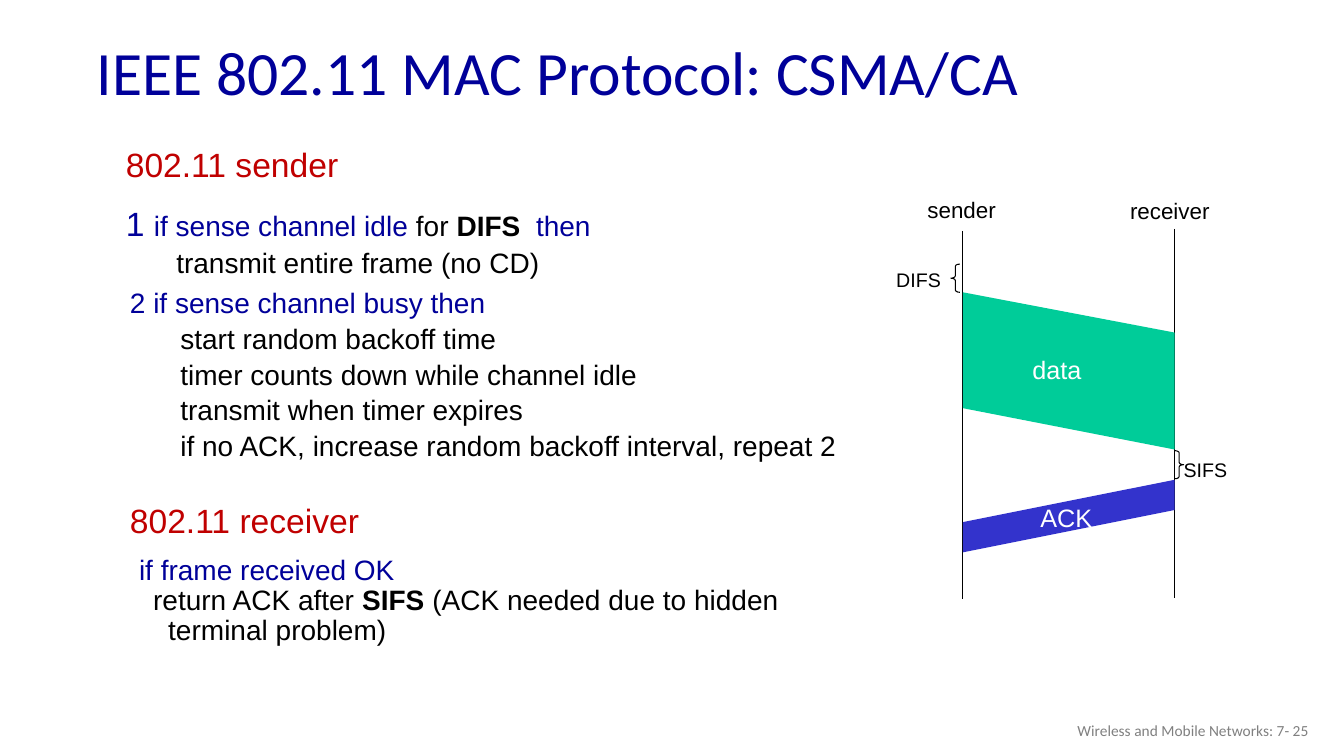
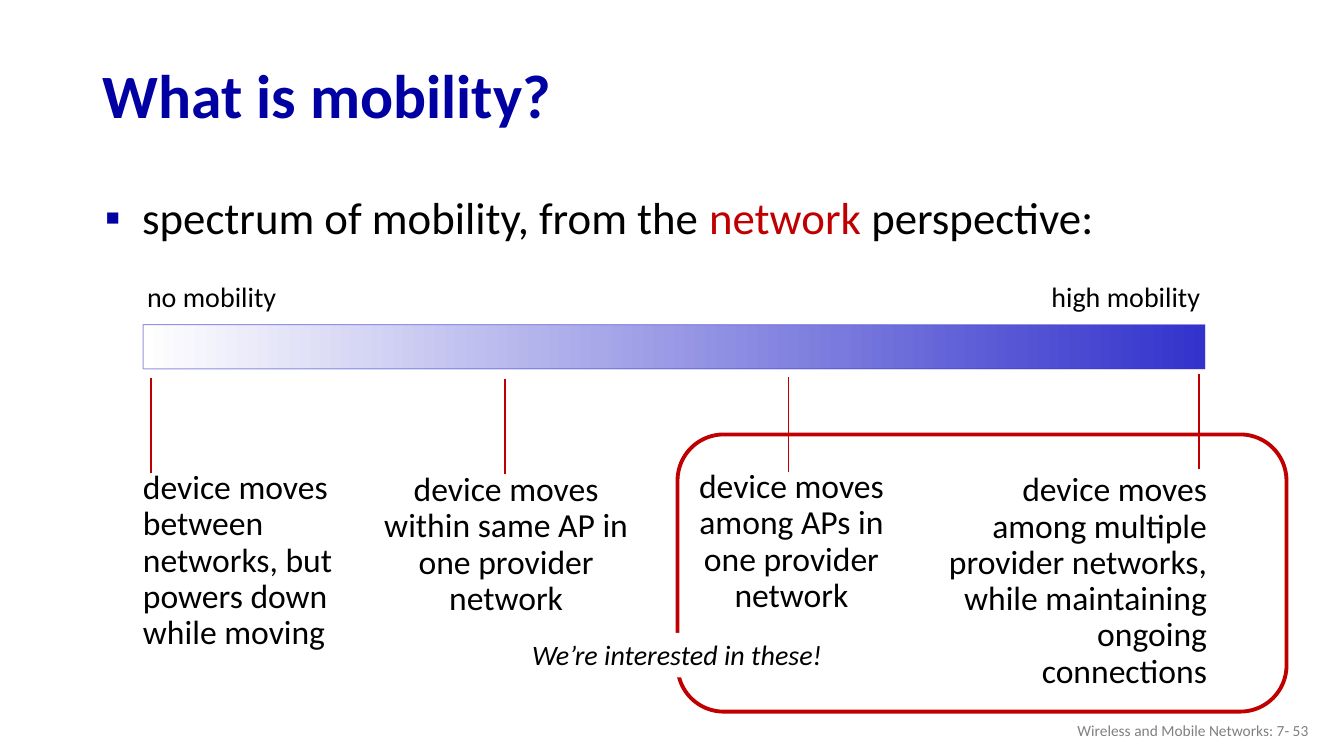
from lxml.etree import SubElement
from pptx import Presentation
from pptx.dml.color import RGBColor
from pptx.enum.shapes import MSO_CONNECTOR as Conn, MSO_SHAPE as Shape
from pptx.enum.text import MSO_ANCHOR as Anchor, MSO_AUTO_SIZE as AutoSize, PP_ALIGN as Align
from pptx.oxml.ns import qn
from pptx.util import Inches, Pt

COLORS = {
    "title": "000099", "navy": "0000A3", "red": "C00000", "black": "000000",
    "white": "FFFFFF", "gray": "808080", "data": "00CC99", "ack": "3333CC",
}


def rgb(name):
    return RGBColor.from_string(COLORS[name])


class Deck:
    def __init__(self, width, height):
        self.prs = Presentation()
        self.prs.slide_width, self.prs.slide_height = Inches(width), Inches(height)
        self.s = None

    def slide(self, layout, title, left, top, number, **fmt):
        self.s = self.prs.slides.add_slide(self.prs.slide_layouts[layout])
        self.place(self.s.shapes.title, left, top, 11.5, 0.98)
        self.set_text(self.s.shapes.title.text_frame, [([title], {"line_spacing": 0.9})],
                      anchor=Anchor.MIDDLE, size=44, name="Calibri", **fmt)
        self.text(10.08, 7.05, 3, 0.4, [f"Wireless and Mobile Networks: 7- {number}"],
                  anchor=Anchor.MIDDLE, align=Align.RIGHT, size=11, name="Calibri", color="gray")

    def place(self, sp, x, y, w, h):
        sp.left, sp.top, sp.width, sp.height = map(Inches, (x, y, w, h))

    def set_text(self, tf, paragraphs, anchor=Anchor.TOP, wrap=True, align=Align.LEFT, **base):
        for key, value in {"word_wrap": wrap, "auto_size": AutoSize.NONE,
                           "vertical_anchor": anchor}.items():
            setattr(tf, key, value)
        for i, item in enumerate(paragraphs):
            runs, layout = item if isinstance(item, tuple) else ([item], {})
            p = tf.add_paragraph() if i else tf.paragraphs[0]
            self.layout(p, {"alignment": align, **layout})
            for run in runs:
                text, fmt = run if isinstance(run, tuple) else (run, {})
                r = p.add_run()
                r.text = text
                self.font(r.font, {**base, **fmt})

    def layout(self, p, fmt):
        pPr = p._p.get_or_add_pPr()
        for key, value in fmt.items():
            if key in ("marL", "indent"):
                pPr.set(key, str(Inches(value)))
            elif key.startswith("space"):
                setattr(p, key, Pt(value))
            elif key != "bullet":
                setattr(p, key, value)
        if "bullet" in fmt:
            SubElement(SubElement(pPr, qn("a:buClr")), qn("a:srgbClr")).set("val", COLORS["navy"])
            SubElement(pPr, qn("a:buFont")).set("typeface", "Arial")
            SubElement(pPr, qn("a:buChar")).set("char", fmt["bullet"])

    def font(self, font, fmt):
        for key, value in fmt.items():
            if key == "color":
                font.color.rgb = rgb(value)
            else:
                setattr(font, key, Pt(value) if key == "size" else value)

    def text(self, x, y, w, h, paragraphs, fill=None, **fmt):
        sp = self.s.shapes.add_textbox(*map(Inches, (x, y, w, h)))
        if fill:
            sp.fill.solid()
            sp.fill.fore_color.rgb = rgb(fill)
        self.set_text(sp.text_frame, paragraphs, **fmt)

    def label(self, x, y, w, h, text, **fmt):
        self.text(x, y, w, h, [text], wrap=False, **fmt)

    def body(self, x, y, w, h, paragraphs, **fmt):
        sp = self.s.placeholders[1]
        self.place(sp, x, y, w, h)
        self.set_text(sp.text_frame, paragraphs, **fmt)

    def vline(self, x, top, bottom, color, width):
        c = self.s.shapes.add_connector(Conn.STRAIGHT, *map(Inches, (x, top, x, bottom)))
        c.line.color.rgb = rgb(color)
        c.line.width = Pt(width)
        SubElement(c._element.spPr, qn("a:effectLst"))

    def outline(self, kind, x, y, w, h, color, width):
        sp = self.s.shapes.add_shape(kind, *map(Inches, (x, y, w, h)))
        sp.shadow.inherit = False
        sp.fill.background()
        sp.line.color.rgb = rgb(color)
        sp.line.width = Pt(width)
        return sp

    def brace(self, kind, x, y):
        sp = self.outline(kind, x, y, 0.09, 0.28, "black", 0.75)
        sp.adjustments[0] = 0.25

    def polygon(self, points, color):
        start, *rest = [(Inches(x), Inches(y)) for x, y in points]
        builder = self.s.shapes.build_freeform(*start, scale=1.0)
        builder.add_line_segments(rest, close=True)
        sp = builder.convert_to_shape()
        sp.shadow.inherit = False
        sp.fill.solid()
        sp.fill.fore_color.rgb = rgb(color)
        sp.line.fill.background()

    def gradient_bar(self, x, y, w, h, start, end):
        sp = self.outline(Shape.RECTANGLE, x, y, w, h, end, 0.75)
        sp.fill.gradient()
        sp.fill.gradient_angle = 0
        for stop, color, position in zip(sp.fill.gradient_stops, (start, end), (0, 1)):
            stop.color.rgb = rgb(color)
            stop.position = position
        clr = sp._element.spPr.find(qn("a:ln")).find(".//" + qn("a:srgbClr"))
        SubElement(clr, qn("a:alpha")).set("val", "52000")


def csma_slide(deck):
    deck.slide(5, "IEEE 802.11 MAC Protocol: CSMA/CA", 0.86, 0.26, 25, color="title")
    tight = {"line_spacing": 0.9, "space_before": 4}
    item = {**tight, "marL": 0.38, "indent": -0.38}
    step = {**tight, "marL": 0.81, "indent": -0.31}
    heading = {"size": 24, "color": "red"}
    blue, bold = {"color": "title"}, {"bold": True}
    arial = {"name": "Arial", "size": 20, "color": "black"}

    deck.text(1.15, 1.42, 7.31, 1.41, [
        ([("802.11 sender", heading)], {**item, "space_after": 12}),
        ([("1 ", {**blue, "size": 24}), ("if sense channel idle", blue), " for ",
          ("DIFS  ", bold), ("then", blue)], {**item, "space_before": 4.8}),
        (["transmit entire frame (no CD)"], step),
    ], **arial)
    deck.text(1.19, 2.82, 7.31, 1.86, [
        ([("2 if sense channel busy then", blue)], item),
        *[([line], step) for line in (
            "start random backoff time",
            "timer counts down while channel idle",
            "transmit when timer expires",
            "if no ACK, increase random backoff interval, repeat 2",
        )],
    ], **arial)
    deck.text(1.19, 4.96, 7.31, 1.86, [
        ([("802.11 receiver", heading)], {**item, "space_after": 6}),
        ([("if frame received OK", blue)],
         {**tight, "space_before": 4.8, "marL": 0.09, "indent": 0}),
        (["return ACK after ", ("SIFS ", bold), "(ACK needed due to hidden terminal problem)"],
         {**tight, "space_before": 0, "marL": 0.38, "indent": -0.15}),
    ], **arial)

    sender, receiver = 9.55, 11.65
    deck.vline(sender, 2.29, 5.94, "black", 0.75)
    deck.vline(receiver, 2.27, 5.93, "black", 0.75)
    deck.polygon([(sender, 2.9), (receiver, 3.3), (receiver, 4.46), (sender, 4.05)], "data")
    deck.polygon([(sender, 5.48), (receiver, 5.06), (receiver, 4.76), (sender, 5.18)], "ack")
    deck.brace(Shape.LEFT_BRACE, 9.43, 2.62)
    deck.brace(Shape.RIGHT_BRACE, receiver, 4.47)
    for x, y, w, h, text, size, color in (
        (9.1, 1.9, 0.91, 0.37, "sender", 16, "black"),
        (11.11, 1.91, 1, 0.37, "receiver", 16, "black"),
        (8.79, 2.61, 0.65, 0.34, "DIFS", 14, "black"),
        (11.64, 4.49, 0.64, 0.34, "SIFS", 14, "black"),
        (10.14, 3.47, 0.69, 0.4, "data", 18, "white"),
        (10.22, 4.93, 0.72, 0.4, "ACK", 18, "white"),
    ):
        deck.label(x, y, w, h, text, name="Arial", size=size, color=color)


def mobility_slide(deck):
    deck.slide(1, "What is mobility?", 0.92, 0.49, 53, color="navy", bold=True)
    calibri = {"name": "Calibri", "color": "black"}
    deck.body(0.92, 1.89, 11.5, 0.6, [(
        ["spectrum of mobility, from the ", ("network", {"color": "red"}), " perspective:"],
        {"line_spacing": 0.9, "space_before": 10, "marL": 0.39, "indent": -0.37, "bullet": "▪"},
    )], size=32, **calibri)

    deck.gradient_bar(1.42, 3.22, 10.53, 0.44, "white", "ack")
    deck.label(1.36, 2.72, 1.98, 0.44, "no mobility", size=20, **calibri)
    deck.label(10.33, 2.72, 2.24, 0.44, "high mobility", size=20, **calibri)

    for x, y, w, h, tick, tick_top, align, lines in (
        (1.32, 4.62, 2.66, 1.92, 1.5, 3.75, Align.LEFT,
         ["device moves", "between networks, but", "powers down", "while moving"]),
        (3.71, 4.64, 2.62, 1.56, 5.01, 3.76, Align.CENTER,
         ["device moves within same AP in", "one provider", "network"]),
        (6.67, 4.61, 2.36, 1.56, 7.82, 3.74, Align.CENTER,
         ["device moves among APs in", "one provider", "network"]),
        (9.18, 4.64, 2.89, 2.28, 11.89, 3.71, Align.RIGHT,
         ["device moves", "among multiple", "provider networks,",
          "while maintaining", "ongoing connections"]),
    ):
        deck.text(x, y, w, h, [([line], {"line_spacing": 0.9}) for line in lines],
                  align=align, size=24, **calibri)
        deck.vline(tick, tick_top, tick_top + 0.94, "red", 1.25)

    deck.outline(Shape.ROUNDED_RECTANGLE, 6.72, 4.31, 6.04, 2.75, "red", 2.75)
    deck.label(5.18, 6.28, 3.17, 0.44, "We’re interested in these!",
               fill="white", size=20, italic=True, **calibri)


def main():
    deck = Deck(13.33, 7.5)
    csma_slide(deck)
    mobility_slide(deck)
    deck.prs.save("out.pptx")


if __name__ == "__main__":
    main()
